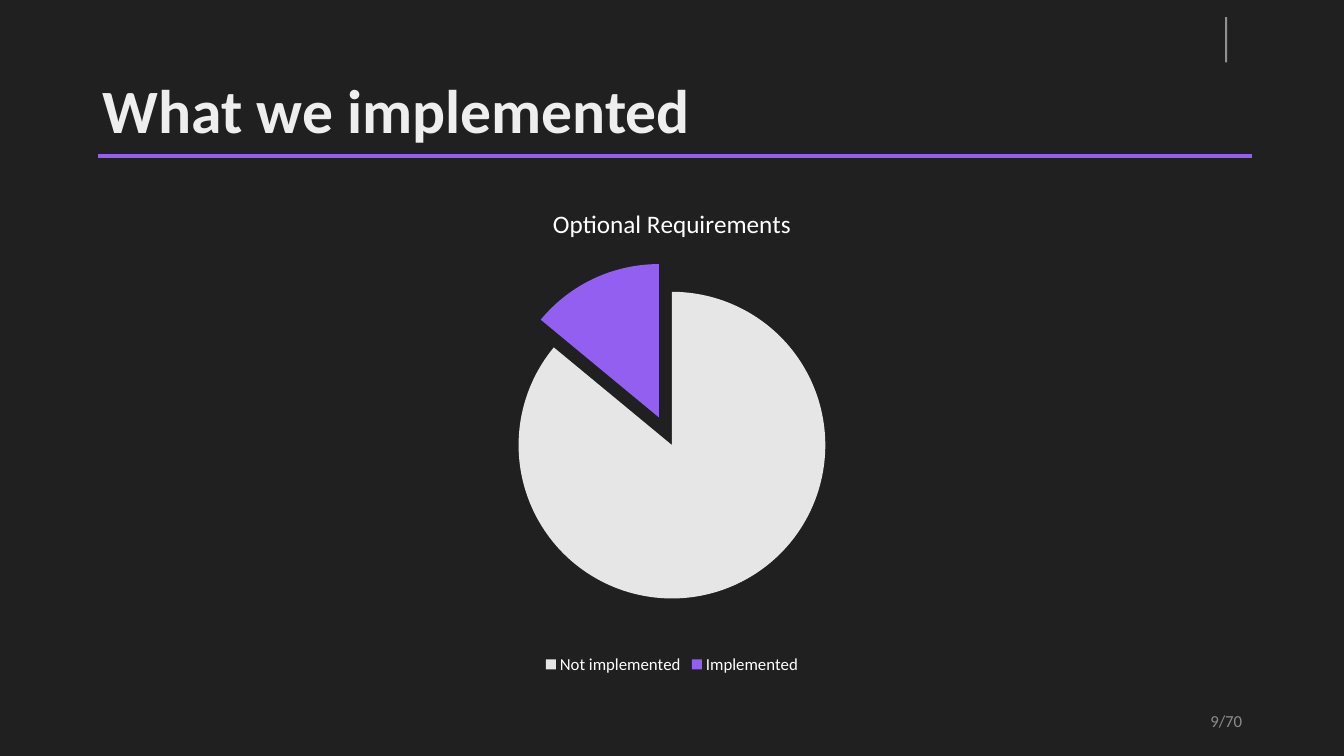
from dataclasses import dataclass

from lxml import etree
from pptx import Presentation, oxml
from pptx import util as u
from pptx.chart.data import CategoryChartData
from pptx.dml.color import RGBColor
from pptx.enum import chart as charts, shapes, text
from pptx.oxml import ns


@dataclass(frozen=True)
class Theme:
    font: str = "Calibri"
    background: str = "202020"
    accent: str = "925FF0"
    light: str = "E7E6E6"
    title: str = "EEEEEE"
    chart_text: str = "FFFFFF"
    tick: str = "909090"
    muted: str = "8C8C8C"
    title_size: int = 44
    chart_title_size: int = 18
    small_size: int = 12


THEME = Theme()


def color(value):
    return RGBColor.from_string(value)


def format_font(font, size, font_color, bold=False):
    values = {"name": THEME.font, "size": u.Pt(size), "bold": bold}
    for name, value in values.items():
        setattr(font, name, value)
    font.color.rgb = color(font_color)


def place(shape, left, top, width, height):
    values = {"left": left, "top": top, "width": width, "height": height}
    for name, value in values.items():
        setattr(shape, name, u.Inches(value))


def write_text(shape, content, size, font_color, bold=False, **paragraph_format):
    frame = shape.text_frame
    frame.word_wrap = True
    frame.auto_size = text.MSO_AUTO_SIZE.NONE
    frame.vertical_anchor = text.MSO_ANCHOR.MIDDLE
    paragraph = frame.paragraphs[0]
    for name, value in paragraph_format.items():
        setattr(paragraph, name, value)
    run = paragraph.add_run()
    run.text = content
    format_font(run.font, size, font_color, bold)


def add_rule(slide, left, right, top):
    line = slide.shapes.add_connector(
        shapes.MSO_CONNECTOR.STRAIGHT,
        u.Inches(left), u.Inches(top), u.Inches(right), u.Inches(top))
    line.line.color.rgb = color(THEME.accent)
    line.line.width = u.Pt(3)
    etree.SubElement(line._element.spPr, ns.qn("a:effectLst"))


def add_tick(slide, left, top, width, height):
    tick = slide.shapes.add_shape(
        shapes.MSO_SHAPE.RECTANGLE, *map(u.Inches, (left, top, width, height)))
    tick.shadow.inherit = False
    tick.fill.solid()
    tick.fill.fore_color.rgb = color(THEME.tick)
    tick.line.fill.background()


def explode(point, percent):
    # The explosion element goes just before the slice formatting
    properties = point.format.fill._xPr
    properties.addprevious(oxml.parse_xml(
        f'<c:explosion {ns.nsdecls("c")} val="{percent}"/>'))


def add_pie(slide, title, slices, left, top, width, height):
    data = CategoryChartData()
    data.categories = [name for name, _, _ in slices]
    data.add_series("Series 1", [value for _, value, _ in slices])
    chart = slide.shapes.add_chart(
        charts.XL_CHART_TYPE.PIE,
        *map(u.Inches, (left, top, width, height)), data).chart
    format_font(chart.font, THEME.small_size, THEME.chart_text)

    # Chart title and legend
    chart.has_title = True
    paragraph = chart.chart_title.text_frame.paragraphs[0]
    run = paragraph.add_run()
    run.text = title
    format_font(run.font, THEME.chart_title_size, THEME.chart_text)
    chart.has_legend = True
    chart.legend.position = charts.XL_LEGEND_POSITION.BOTTOM
    chart.legend.include_in_layout = False
    format_font(chart.legend.font, THEME.small_size, THEME.chart_text)

    # Slices
    plot = chart.plots[0]
    plot.vary_by_categories = True
    points = plot.series[0].points
    for index, (_, _, fill_color) in enumerate(slices):
        fill = points[index].format.fill
        fill.solid()
        fill.fore_color.rgb = color(fill_color)
    explode(points[1], 20)


def main():
    presentation = Presentation()
    presentation.slide_width = u.Inches(13.33)
    presentation.slide_height = u.Inches(7.5)
    slide = presentation.slides.add_slide(presentation.slide_layouts[5])
    slide.background.fill.solid()
    slide.background.fill.fore_color.rgb = color(THEME.background)

    # Decoration
    add_rule(slide, 0.97, 12.42, 1.55)
    add_tick(slide, 12.15, 0.17, 0.02, 0.45)

    # Chart
    add_pie(slide, "Optional Requirements",
            [("Not implemented", 86, THEME.light),
             ("Implemented", 14, THEME.accent)],
            3.83, 1.85, 5.67, 4.88)

    # Title and page number
    title = slide.shapes.title
    place(title, 0.92, 0.4, 11.5, 1.45)
    write_text(title, "What we implemented", THEME.title_size, THEME.title,
               bold=True, alignment=text.PP_ALIGN.LEFT, line_spacing=0.9)
    page = slide.shapes.add_textbox(*map(u.Inches, (9.42, 6.95, 3, 0.4)))
    write_text(page, "9/70", THEME.small_size, THEME.muted,
               alignment=text.PP_ALIGN.RIGHT)

    presentation.save("out.pptx")


if __name__ == "__main__":
    main()
